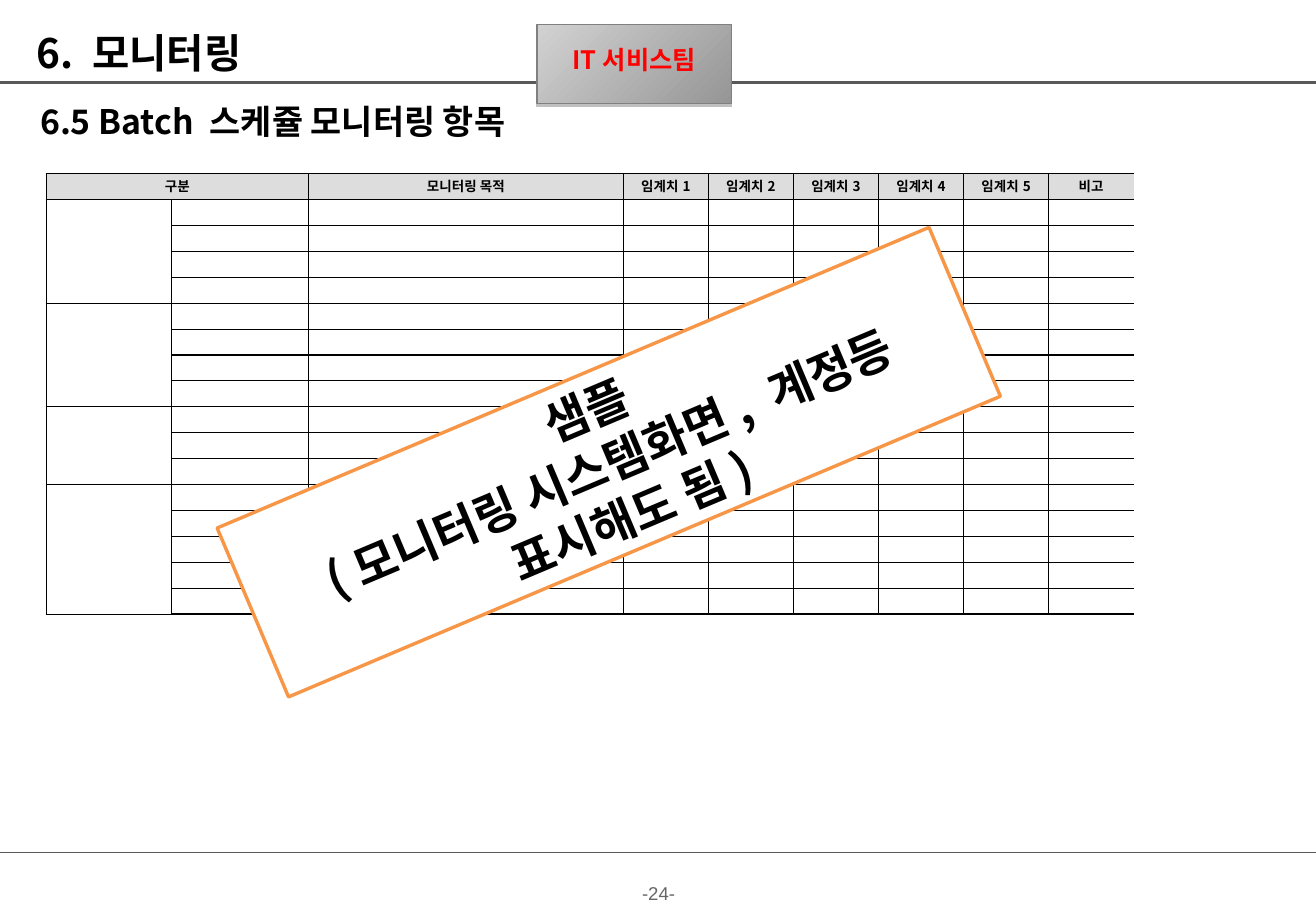
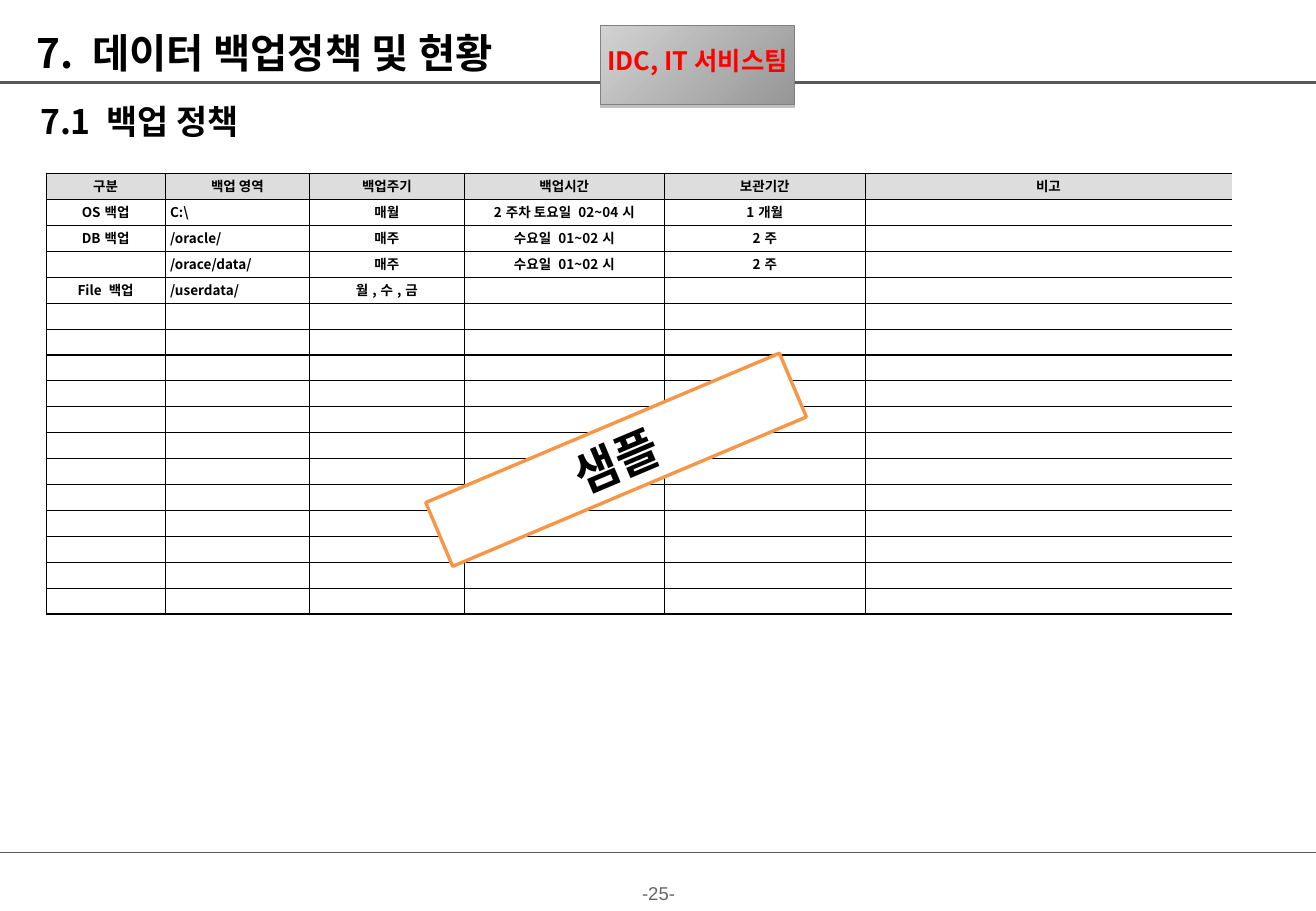
from dataclasses import dataclass, field

from lxml import etree
from pptx import Presentation
from pptx import util as u
from pptx.dml.color import RGBColor
from pptx.enum import shapes, text
from pptx.oxml import ns

FONT = "Noto Sans CJK KR"
COLORS = {
    "ink": "000000", "rule": "595959", "page": "666666", "head": "DDDDDD",
    "paper": "FFFFFF", "stamp": "F79646", "tag": "FF0000", "tag_line": "808080",
    "tag_light": "D2D2D2", "tag_dark": "969696", "tag_shadow": "C0C0C0",
}
SLIDE_W, SLIDE_H = 10.83, 7.5
TABLE_LEFT, TABLE_TOP, TABLE_H, TABLE_ROWS = 0.38, 1.43, 3.61, 17
CENTER, LEFT = text.PP_ALIGN.CENTER, text.PP_ALIGN.LEFT


@dataclass
class Box:
    left: float
    top: float
    width: float
    height: float

    def emu(self) -> list[int]:
        return [u.Inches(v) for v in (self.left, self.top, self.width, self.height)]


@dataclass
class Grid:
    widths: list[float]
    rows: list[list[str]]
    merges: list[tuple[int, int, int, int]] = field(default_factory=list)
    left_col: int = -1


@dataclass
class Page:
    number: int
    title: str
    subtitle: str
    grid: Grid
    stamp: str
    stamp_box: Box
    tag: str
    tag_box: Box


PAGES = [
    Page(24, "6. 모니터링", "6.5 Batch 스케쥴 모니터링 항목",
         Grid([1.03, 1.13, 2.59] + [0.7] * 6,
              [["구분", "", "모니터링 목적", *(f"임계치{n}" for n in range(1, 6)), "비고"]],
              merges=[(0, 0, 0, 1), (1, 0, 4, 0), (5, 0, 8, 0), (9, 0, 11, 0), (12, 0, 16, 0)]),
         "샘플\n(모니터링 시스템화면, 계정등 표시해도 됨)", Box(1.83, 3.05, 6.36, 1.51),
         "IT서비스팀", Box(4.42, 0.2, 1.6, 0.65)),
    Page(25, "7. 데이터 백업정책 및 현황", "7.1 백업 정책",
         Grid([0.98, 1.19, 1.27, 1.65, 1.65, 3.02],
              [["구분", "백업 영역", "백업주기", "백업시간", "보관기간", "비고"],
               ["OS백업", "C:\\", "매월", "2주차 토요일 02~04시", "1개월"],
               ["DB백업", "/oracle/", "매주", "수요일 01~02시", "2주"],
               ["", "/orace/data/", "매주", "수요일 01~02시", "2주"],
               ["File 백업", "/userdata/", "월,수,금"]],
              left_col=1),
         "샘플", Box(3.49, 3.5, 3.16, 0.57),
         "IDC, IT서비스팀", Box(4.94, 0.21, 1.6, 0.65)),
]


def rgb(name: str) -> RGBColor:
    return RGBColor.from_string(COLORS[name])


def sub(parent, tag: str, **attrs):
    return etree.SubElement(parent, ns.qn(tag), {k: str(v) for k, v in attrs.items()})


def put_text(tf, content: str, *, size: float, color: str = "ink", font: str = FONT,
             bold: bool = True, align=LEFT, line=None, wrap: bool = True,
             insets=(0, 0.05, 0, 0.05)) -> None:
    """Fill a text frame or a cell's text frame, one paragraph per line."""
    tf.word_wrap = wrap
    tf.vertical_anchor = text.MSO_ANCHOR.MIDDLE
    tf.margin_left, tf.margin_top, tf.margin_right, tf.margin_bottom = map(u.Inches, insets)
    for i, part in enumerate(content.split("\n")):
        p = tf.add_paragraph() if i else tf.paragraphs[0]
        p.alignment, p.space_before = align, u.Pt(0)
        if line:
            p.line_spacing = u.Pt(line)
        if not part:
            sub(p._p, "a:endParaRPr", sz=int(size * 100))
            continue
        r = p.add_run()
        r.text = part
        r.font.size, r.font.bold, r.font.name = u.Pt(size), bold, font
        r.font.color.rgb = rgb(color)
        sub(r._r.get_or_add_rPr(), "a:ea", typeface=font)


def add_rule(slide, y: float, width: float) -> None:
    c = slide.shapes.add_connector(shapes.MSO_CONNECTOR.STRAIGHT, 0, u.Inches(y),
                                   u.Inches(SLIDE_W), u.Inches(y))
    c.line.color.rgb, c.line.width = rgb("rule"), u.Pt(width)
    sub(c._element.spPr, "a:effectLst")


def add_frame(slide, page: Page) -> None:
    """Draw the title, subtitle, rules and page number."""
    title, body = slide.shapes.title, slide.placeholders[1]
    for sp, box, content, size in (
            (title, Box(0.3, 0.2, 10.23, 0.46), page.title, 24),
            (body, Box(0.33, 0.77, 10.23, 0.46), page.subtitle, 20)):
        sp.left, sp.top, sp.width, sp.height = box.emu()
        sp.text_frame.auto_size = text.MSO_AUTO_SIZE.NONE
        pPr = sp.text_frame.paragraphs[0]._p.get_or_add_pPr()
        pPr.set("marL", "0")
        pPr.set("indent", "0")
        sub(pPr, "a:buNone")
        put_text(sp.text_frame, content, size=size)
    add_rule(slide, 0.68, 2)
    add_rule(slide, 7.02, 0.25)
    number = slide.shapes.add_textbox(*Box(5.26, 7.26, 0.32, 0.19).emu())
    put_text(number.text_frame, f"-{page.number}-", size=11, color="page", font="Arial",
             bold=False, align=CENTER, wrap=False, insets=(0, 0, 0, 0))


def set_borders(cell, widths: dict[str, float]) -> None:
    """Set the cell's borders in points; a width of 0 hides the side."""
    tcPr = cell._tc.get_or_add_tcPr()
    for i, (side, width) in enumerate(widths.items()):
        ln = etree.Element(ns.qn(f"a:ln{side}"), {"w": str(u.Pt(width))})
        if width:
            sub(sub(ln, "a:solidFill"), "a:srgbClr", val=COLORS["ink"])
        else:
            sub(ln, "a:noFill")
        tcPr.insert(i, ln)


def add_grid(slide, grid: Grid) -> None:
    n_cols = len(grid.widths)
    box = Box(TABLE_LEFT, TABLE_TOP, sum(grid.widths), TABLE_H)
    table = slide.shapes.add_table(TABLE_ROWS, n_cols, *box.emu()).table
    table.first_row = table.horz_banding = False
    for col, width in zip(table.columns, grid.widths):
        col.width = u.Inches(width)
    for i, row in enumerate(table.rows):
        row.height = u.Inches(TABLE_H / TABLE_ROWS)
        labels = grid.rows[i] if i < len(grid.rows) else []
        for j, cell in enumerate(row.cells):
            put_text(cell.text_frame, labels[j] if j < len(labels) else "", size=8, line=9.5,
                     align=LEFT if i and j == grid.left_col else CENTER)
            cell.vertical_anchor = text.MSO_ANCHOR.MIDDLE
            cell.margin_left = cell.margin_right = u.Inches(0.04)
            cell.margin_top, cell.margin_bottom = u.Inches(0.05), u.Inches(0.03)
            if i:
                cell.fill.background()
            else:
                cell.fill.solid()
                cell.fill.fore_color.rgb = rgb("head")
            set_borders(cell, {"L": 0.75, "R": 0 if j == n_cols - 1 else 0.75,
                               "T": 0.75 if i else 1,
                               "B": 1 if i == TABLE_ROWS - 1 else 0.75})
    for top, left, bottom, right in grid.merges:
        table.cell(top, left).merge(table.cell(bottom, right))


def add_rect(slide, box: Box, line: str, width: float):
    sp = slide.shapes.add_shape(shapes.MSO_SHAPE.RECTANGLE, *box.emu())
    sp.line.color.rgb, sp.line.width = rgb(line), u.Pt(width)
    sp.shadow.inherit = False
    return sp


def add_stamp(slide, content: str, box: Box) -> None:
    sp = add_rect(slide, box, "stamp", 2)
    sp.rotation = 337.1
    sp.fill.solid()
    sp.fill.fore_color.rgb = rgb("paper")
    put_text(sp.text_frame, content, size=28, align=CENTER, line=34,
             insets=(0.1, 0.05, 0.1, 0.05))


def add_tag(slide, content: str, box: Box) -> None:
    sp = add_rect(slide, box, "tag_line", 0.75)
    sp.fill.gradient()
    sp.fill.gradient_angle = 315
    for stop, name in zip(sp.fill.gradient_stops, ("tag_light", "tag_dark")):
        stop.color.rgb = rgb(name)
    effects = sp._element.spPr.find(ns.qn("a:effectLst"))
    shadow = sub(effects, "a:outerShdw", blurRad=0, dist=u.Pt(2), dir=5400000,
                 algn="ctr", rotWithShape=0)
    sub(shadow, "a:srgbClr", val=COLORS["tag_shadow"])
    put_text(sp.text_frame, content, size=15, color="tag", align=CENTER, line=13)


def main() -> None:
    prs = Presentation()
    prs.slide_width, prs.slide_height = u.Inches(SLIDE_W), u.Inches(SLIDE_H)
    for page in PAGES:
        slide = prs.slides.add_slide(prs.slide_layouts[1])
        add_frame(slide, page)
        add_grid(slide, page.grid)
        add_stamp(slide, page.stamp, page.stamp_box)
        add_tag(slide, page.tag, page.tag_box)
    prs.save("out.pptx")


if __name__ == "__main__":
    main()
